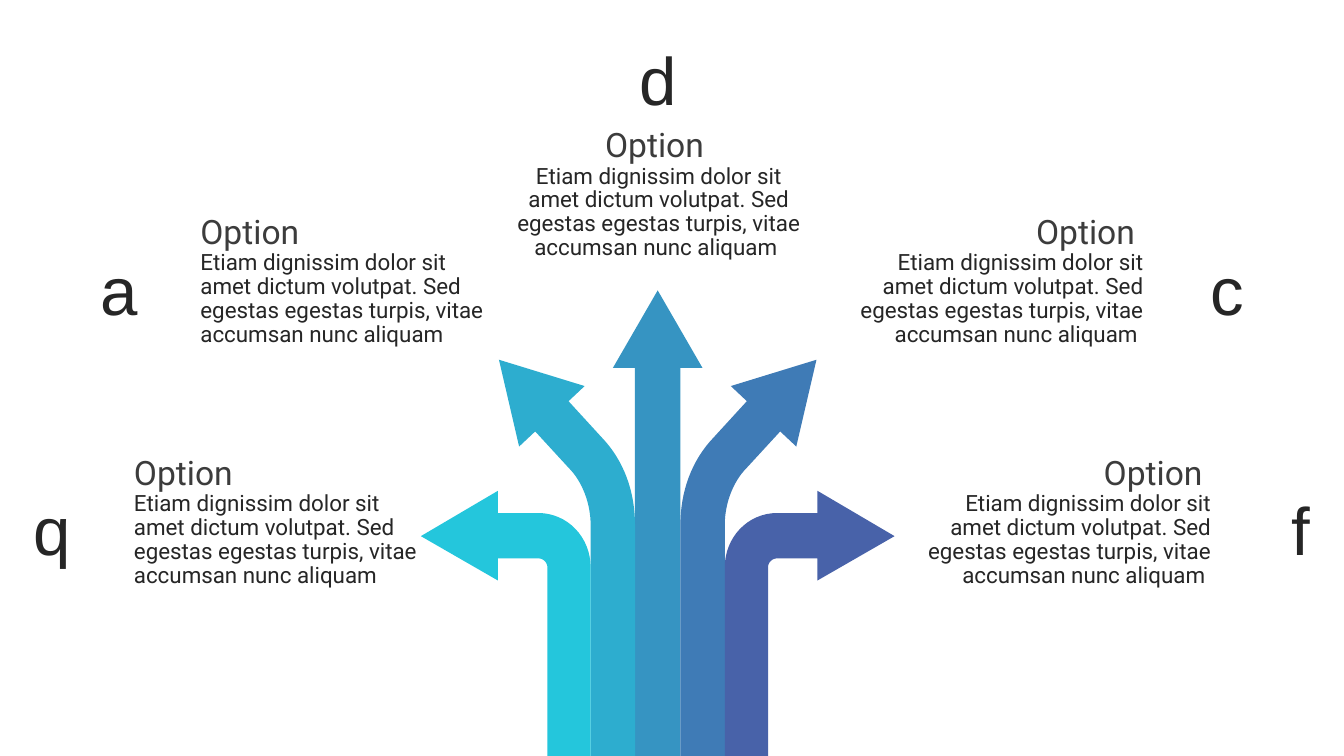
import pptx
import pptx.util
import pptx.dml.color
import pptx.enum.text
from dataclasses import dataclass

Pt = pptx.util.Pt
Align = pptx.enum.text.PP_ALIGN
AutoSize = pptx.enum.text.MSO_AUTO_SIZE


@dataclass(frozen=True)
class Theme:
    heading_font: str = "Roboto"
    letter_font: str = "Arial"
    heading_size: int = 24
    body_size: int = 16
    letter_size: int = 48
    heading_color: str = "3C3C3C"
    text_color: str = "262626"
    straight: str = "3694C2"
    left_bend: str = "2DADCF"
    left_turn: str = "24C6DC"
    right_bend: str = "3F7BB6"
    right_turn: str = "4862A9"


AXIS = 469.8  # vertical line about which the arrows are symmetric
BOTTOM = 540
CURVE_STEPS = 16

# Outline steps: (x, y) is a corner, (x1, y1, x2, y2, x, y) a Bezier curve.
STRAIGHT_HALF = [(AXIS, 207.4), (437.8, 262.8), (453.6, 262.8), (453.6, BOTTOM)]
BEND = [
    (429.8, 312.5), (406.1, 286.6), (417.6, 275.8), (356.4, 257),
    (370.8, 319), (382.3, 308.2), (406.1, 334.1),
    (416.2, 344.2, 421.9, 360, 421.9, 375.1),
    (421.9, BOTTOM), (453.6, BOTTOM), (453.6, 375.1),
    (453.6, 351.4, 445.7, 329, 429.8, 312.5),
]
TURN = [
    (384.5, 366.5), (355.7, 366.5), (355.7, 350.6), (300.6, 383),
    (355.7, 414.7), (355.7, 398.9), (384.5, 398.9),
    (388.1, 398.9, 391, 401.8, 391, 405.4),
    (391, BOTTOM), (421.9, BOTTOM), (421.9, 405.4),
    (421.9, 383.8, 405.4, 366.5, 384.5, 366.5),
]

BODY = ("Etiam dignissim dolor sit amet dictum volutpat. "
        "Sed egestas egestas turpis, vitae accumsan nunc aliquam")

# letter, alignment, text corner, letter corner
OPTIONS = [
    ("q", Align.LEFT, (88.6, 322.6), (16.6, 345.6)),
    ("a", Align.LEFT, (136.1, 150.5), (64.8, 173.5)),
    ("d", Align.CENTER, (357.8, 88.6), (438.5, 23.8)),
    ("f", Align.RIGHT, (646.6, 322.6), (879.8, 345.6)),
    ("c", Align.RIGHT, (598.3, 150.5), (832.3, 173.5)),
]


def flatten(outline):
    """Turn outline steps into corner points, sampling each curve."""
    points = []
    for step in outline:
        if len(step) == 2:
            points.append(step)
            continue
        x0, y0 = points[-1]
        x1, y1, x2, y2, x3, y3 = step
        for i in range(1, CURVE_STEPS + 1):
            t = i / CURVE_STEPS
            u = 1 - t
            a, b, c, d = u ** 3, 3 * u * u * t, 3 * u * t * t, t ** 3
            points.append((a * x0 + b * x1 + c * x2 + d * x3,
                           a * y0 + b * y1 + c * y2 + d * y3))
    return points


def mirror(points):
    return [(2 * AXIS - x, y) for x, y in points]


def set_format(target, values):
    for name, value in values.items():
        setattr(target, name, value)


class SlideBuilder:
    def __init__(self, slide, theme):
        self.slide = slide
        self.theme = theme

    def arrow(self, points, color):
        start, *rest = [(Pt(x), Pt(y)) for x, y in points]
        outline = self.slide.shapes.build_freeform(*start)
        outline.add_line_segments(rest, close=True)
        arrow = outline.convert_to_shape()
        arrow.shadow.inherit = False
        arrow.fill.solid()
        arrow.fill.fore_color.rgb = pptx.dml.color.RGBColor.from_string(color)
        arrow.line.fill.background()

    def text(self, corner, size, lines, paragraph_format, wrap):
        """Add a box; lines holds (text, font name, size, colour) entries."""
        box = self.slide.shapes.add_textbox(*map(Pt, corner + size))
        frame = box.text_frame
        set_format(frame, {"word_wrap": wrap,
                           "auto_size": AutoSize.SHAPE_TO_FIT_TEXT})
        for index, (words, font, points, color) in enumerate(lines):
            paragraph = frame.add_paragraph() if index else frame.paragraphs[0]
            set_format(paragraph, paragraph_format)
            run = paragraph.add_run()
            run.text = words
            set_format(run.font, {"name": font, "size": Pt(points)})
            run.font.color.rgb = pptx.dml.color.RGBColor.from_string(color)

    def option(self, letter, align, text_corner, letter_corner):
        theme = self.theme
        tail = "" if align == Align.LEFT else " "
        self.text(
            text_corner, (225.4, 102.2),
            [("Option" + tail, theme.heading_font, theme.heading_size,
              theme.heading_color),
             (BODY + tail, theme.heading_font, theme.body_size,
              theme.text_color)],
            {"alignment": align, "line_spacing": 0.89}, wrap=True)
        self.text(
            letter_corner, (63.4, 65.5),
            [(letter, theme.letter_font, theme.letter_size, theme.text_color)],
            {"alignment": align}, wrap=False)


def main():
    deck = pptx.Presentation()
    set_format(deck, {"slide_width": Pt(960), "slide_height": Pt(540)})
    theme = Theme()
    builder = SlideBuilder(deck.slides.add_slide(deck.slide_layouts[6]), theme)

    bend, turn = flatten(BEND), flatten(TURN)
    straight = STRAIGHT_HALF + mirror(STRAIGHT_HALF[:0:-1])
    for points, color in [
        (straight, theme.straight),
        (bend, theme.left_bend),
        (turn, theme.left_turn),
        (mirror(bend), theme.right_bend),
        (mirror(turn), theme.right_turn),
    ]:
        builder.arrow(points, color)
    for option in OPTIONS:
        builder.option(*option)

    deck.save("out.pptx")


if __name__ == "__main__":
    main()
